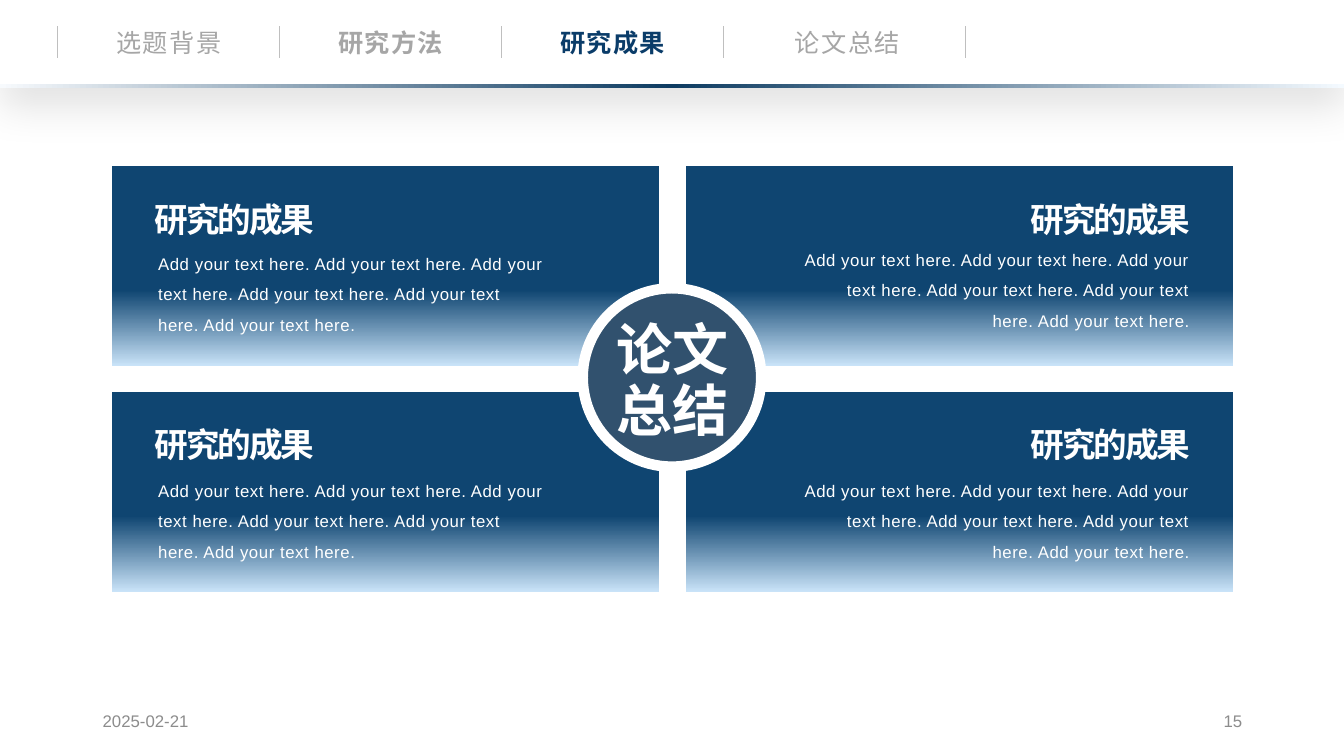
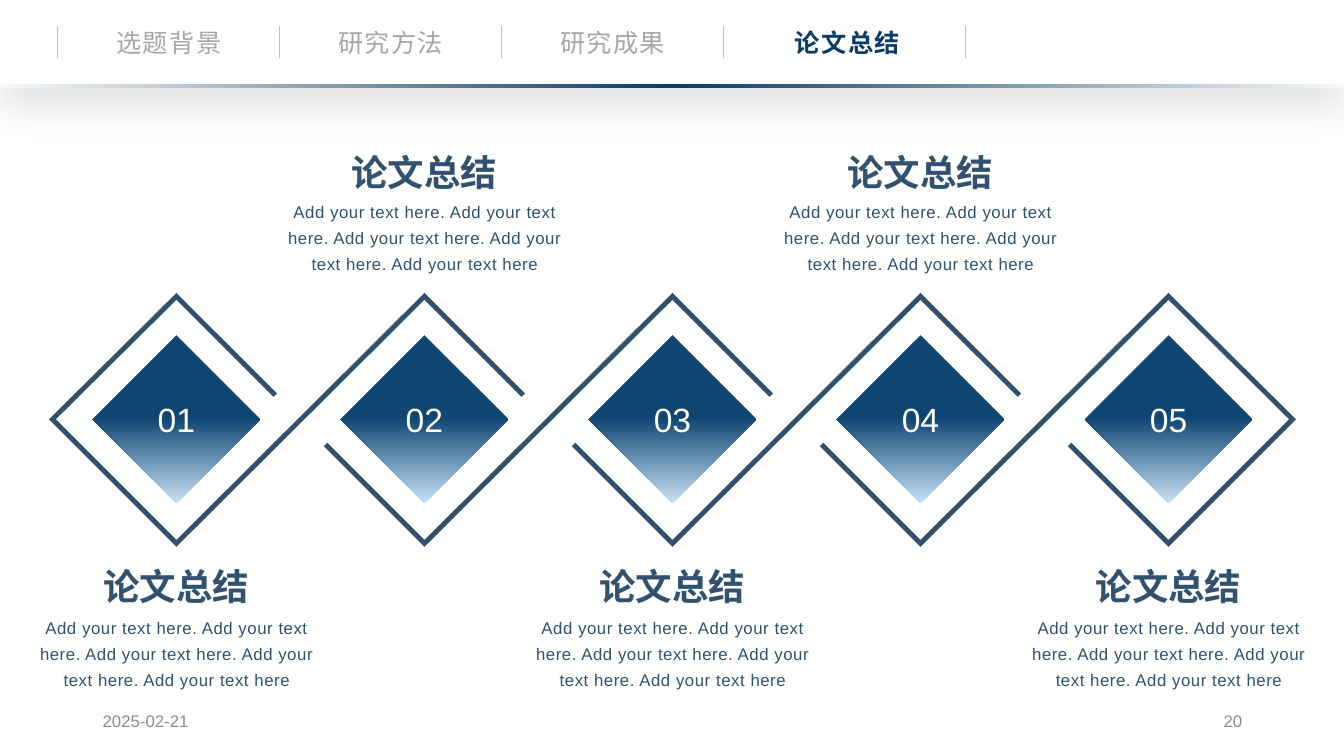
"""Build two thesis defence slides: research results and closing summary."""
import copy

import pptx
import pptx.dml.color
import pptx.enum.shapes
import pptx.enum.text
import pptx.oxml
import pptx.oxml.ns
import pptx.util

PX = 9144
NAVY, SLATE, ICE, WHITE = "0F4571", "31516E", "C9E3F8", "FFFFFF"
ACTIVE, MUTED, RULE, FOOTER = "0A3C69", "A6A6A6", "BFBFBF", "8C8C8C"
SENTENCE = "Add your text here"
rgb = pptx.dml.color.RGBColor.from_string
SHAPE = pptx.enum.shapes.MSO_SHAPE
ALIGN = pptx.enum.text.PP_ALIGN
ANCHOR = pptx.enum.text.MSO_ANCHOR


def add_text(slide, box, text, size, color, align=ALIGN.CENTER, bold=False,
             tracking=0, leading=None, wrap=True, anchor=ANCHOR.TOP):
    """Add a text box at box (px) with one format for all its text."""
    frame = slide.shapes.add_textbox(*[n * PX for n in box]).text_frame
    frame.word_wrap = wrap
    frame.vertical_anchor = anchor
    frame.text = text
    for paragraph in frame.paragraphs:
        paragraph.alignment = align
        paragraph.line_spacing = leading
        for run in paragraph.runs:
            run.font.name = "Arial"
            run.font.size = pptx.util.Pt(size)
            run.font.bold = bold
            run.font.color.rgb = rgb(color)
            if tracking:
                run.font._element.set("spc", str(round(tracking * 100)))


def add_panel(slide, kind, box, stops, angle=0):
    """Add a borderless shape filled with one colour or a gradient of stops."""
    panel = slide.shapes.add_shape(kind, *[n * PX for n in box])
    panel.shadow.inherit = False
    panel.line.fill.background()
    if len(stops) == 1:
        panel.fill.solid()
        panel.fill.fore_color.rgb = rgb(stops[0][1])
        return panel
    panel.fill.gradient()
    panel.fill.gradient_angle = angle
    stop_list = panel.element.spPr.find(".//" + pptx.oxml.ns.qn("a:gsLst"))
    while len(stop_list) < len(stops):
        stop_list.append(copy.deepcopy(stop_list[-1]))
    for stop, (position, color) in zip(panel.fill.gradient_stops, stops):
        stop.position = position
        stop.color.rgb = rgb(color)
    return panel


deck = pptx.Presentation()
deck.slide_width, deck.slide_height = 1333 * PX, 750 * PX
blank = deck.slide_layouts[6]

results = deck.slides.add_slide(blank)
cards = [
    (111, 165, 111, 147, 237, ALIGN.LEFT),
    (111, 389, 111, 147, 462, ALIGN.LEFT),
    (680, 165, 980, 788, 233, ALIGN.RIGHT),
    (680, 389, 980, 788, 462, ALIGN.RIGHT),
]
for left, top, title_left, body_left, body_top, align in cards:
    add_panel(results, SHAPE.RECTANGLE, (left, top, 543, 198),
              [(0.62, NAVY), (1, ICE)], 270)
    add_text(results, (title_left, top + 27, 243, 50), "研究的成果", 24, WHITE,
             bold=True, tracking=-1.5)
    add_text(results, (body_left, body_top, 402, 101),
             " ".join([SENTENCE + "."] * 6), 12, WHITE, align,
             tracking=0.4, leading=1.5)
hub = add_panel(results, SHAPE.OVAL, (578, 286, 177, 177), [(0, SLATE)])
hub.line.color.rgb = rgb(WHITE)
hub.line.width = pptx.util.Pt(7.5)
add_text(results, (554, 315, 226, 131), "论文\n总结", 40, WHITE, bold=True,
         leading=0.9)

summary = deck.slides.add_slide(blank)
centers = [175 + 246 * step for step in range(5)]
peak, middle, valley, reach, arm = 294, 416, 539, 123, 98
for index, (x, next_x) in enumerate(zip(centers, centers[1:])):
    start = [(x - arm, valley - arm)]
    end = [(next_x + arm, peak + arm)]
    if index == 0:
        start = [(x + arm, peak + arm), (x, peak), (x - reach, middle)]
    if next_x == centers[-1]:
        end = [(next_x + reach, middle), (next_x, valley),
               (next_x - arm, valley - arm)]
    route = start + [(x, valley), (next_x, peak)] + end
    builder = summary.shapes.build_freeform(*route[0], scale=PX)
    builder.add_line_segments(route[1:], close=False)
    ribbon = builder.convert_to_shape()
    ribbon.shadow.inherit = False
    ribbon.fill.background()
    ribbon.line.color.rgb = rgb(SLATE)
    ribbon.line.width = pptx.util.Pt(3.5)
    pptx.oxml.ns.qn("a:miter")
    miter = ribbon.line._get_or_add_ln().makeelement(
        pptx.oxml.ns.qn("a:miter"), {"lim": "800000"})
    ribbon.line._get_or_add_ln().append(miter)

for index, x in enumerate(centers):
    diamond = add_panel(summary, SHAPE.RECTANGLE, (x - 59, 357, 118, 118),
                        [(0.49, NAVY), (1, ICE)], 315)
    diamond.rotation = 45
    add_text(summary, (x - 40, 391, 80, 50), f"{index + 1:02}", 24, WHITE)
    title_top, body_top = (144, 189) if index % 2 else (555, 602)
    add_text(summary, (x - 87, title_top, 174, 54), "论文总结", 26, SLATE,
             bold=True)
    add_text(summary, (x - 162, body_top, 325, 89), ". ".join([SENTENCE] * 5),
             12, SLATE, tracking=0.4, leading=1.3)

sections = [("选题背景", 104), ("研究方法", 324), ("研究成果", 544), ("论文总结", 777)]
pages = [
    (results, "15", "研究成果", ["研究方法", "研究成果"]),
    (summary, "20", "论文总结", ["论文总结"]),
]
for slide, number, current, bold_sections in pages:
    for left, text, align in [(92, "2025-02-21", ALIGN.LEFT),
                              (942, number, ALIGN.RIGHT)]:
        add_text(slide, (left, 695, 300, 40), text, 12, FOOTER, align,
                 anchor=ANCHOR.MIDDLE)
    band = add_panel(slide, SHAPE.RECTANGLE, (0, -1, 1333, 87), [(0, WHITE)])
    effects = band.element.spPr.find(pptx.oxml.ns.qn("a:effectLst"))
    effects.append(pptx.oxml.parse_xml(
        f'<a:outerShdw {pptx.oxml.ns.nsdecls("a")} blurRad="355600" '
        'dist="190500" dir="5400000" algn="t" rotWithShape="0">'
        '<a:srgbClr val="000000"><a:alpha val="11000"/></a:srgbClr>'
        '</a:outerShdw>'))
    for x in (57, 277, 497, 717, 957):
        divider = slide.shapes.add_connector(
            pptx.enum.shapes.MSO_CONNECTOR.STRAIGHT,
            x * PX, 26 * PX, x * PX, 58 * PX)
        divider.line.color.rgb = rgb(RULE)
        divider.line.width = pptx.util.Pt(0.5)
        divider.element.spPr.append(divider.element.makeelement(
            pptx.oxml.ns.qn("a:effectLst"), {}))
    for section, left in sections:
        add_text(slide, (left, 22, 127, 40), section, 18,
                 ACTIVE if section == current else MUTED,
                 bold=section in bold_sections, tracking=1, wrap=False)
    add_panel(slide, SHAPE.RECTANGLE, (0, 83, 1333, 4),
              [(0, "F7FAFD"), (0.5, "0D3B61"), (1, "F4FAFF")])

deck.save("out.pptx")
